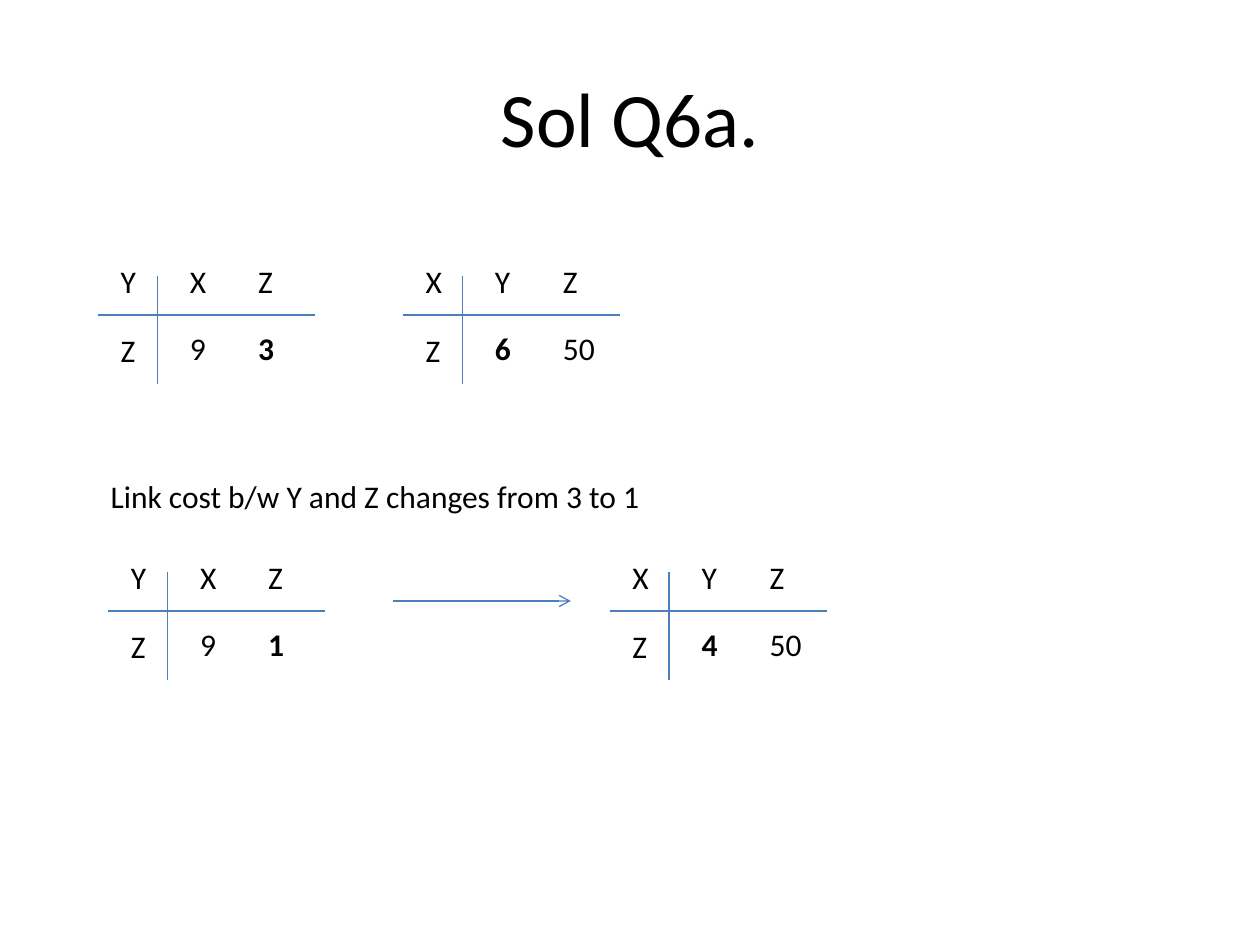
from pptx import Presentation
from pptx.dml.color import RGBColor
from pptx.enum.shapes import MSO_CONNECTOR
from pptx.enum.text import MSO_ANCHOR, MSO_AUTO_SIZE, PP_ALIGN
from pptx.oxml.ns import qn
from pptx.util import Inches, Pt
from lxml import etree

COLORS = {"text": "000000", "line": "4B7EBC"}
FONT = "Calibri"

# Content
TITLE = "Sol Q6a."
NOTE = "Link cost b/w Y and Z changes from 3 to 1"
# Each routing table: left, top, header row, cost row, column of the best cost
ROUTING_TABLES = [
    (0.78, 2.03, ["Y", "X", "Z"], ["Z", "9", "3"], 2),
    (3.20, 2.03, ["X", "Y", "Z"], ["Z", "6", "50"], 1),
    (0.86, 4.38, ["Y", "X", "Z"], ["Z", "9", "1"], 2),
    (4.84, 4.38, ["X", "Y", "Z"], ["Z", "4", "50"], 1),
]

# Routing table geometry, relative to its left and top
COLUMNS = [(0.08, 0.23), (0.63, 0.47), (1.17, 0.47)]  # offset, width
ROW_H = 0.4
COST_Y, DEST_Y = 0.53, 0.55
RULE_W, RULE_Y = 1.72, 0.47
BAR_X, BAR_TOP, BAR_BOTTOM = 0.47, 0.16, 1.02


def add_run(p, text, size, bold=None):
    r = p.add_run()
    r.text = text
    r.font.name = FONT
    r.font.size = Pt(size)
    r.font.bold = bold
    r.font.color.rgb = RGBColor.from_string(COLORS["text"])


def add_label(shapes, text, x, y, w, bold=None):
    tf = shapes.add_textbox(Inches(x), Inches(y), Inches(w), Inches(ROW_H)).text_frame
    tf.word_wrap = True
    tf.auto_size = MSO_AUTO_SIZE.SHAPE_TO_FIT_TEXT
    add_run(tf.paragraphs[0], text, 18, bold)


def add_line(shapes, x1, y1, x2, y2, arrow=False):
    line = shapes.add_connector(
        MSO_CONNECTOR.STRAIGHT, Inches(x1), Inches(y1), Inches(x2), Inches(y2))
    line.line.color.rgb = RGBColor.from_string(COLORS["line"])
    line.line.width = Pt(0.75)
    if arrow:
        etree.SubElement(line.line._get_or_add_ln(), qn("a:tailEnd"), type="arrow")
    etree.SubElement(line._element.spPr, qn("a:effectLst"))


def add_routing_table(slide, x, y, header, costs, best):
    shapes = slide.shapes.add_group_shape().shapes
    add_line(shapes, x, y + RULE_Y, x + RULE_W, y + RULE_Y)
    add_line(shapes, x + BAR_X, y + BAR_TOP, x + BAR_X, y + BAR_BOTTOM)
    for i, (dx, w) in enumerate(COLUMNS):
        add_label(shapes, header[i], x + dx, y, w)
        row_y = y + (COST_Y if i else DEST_Y)
        add_label(shapes, costs[i], x + dx, row_y, w, bold=True if i == best else None)


def main():
    prs = Presentation()
    prs.slide_width, prs.slide_height = Inches(10), Inches(7.5)
    slide = prs.slides.add_slide(prs.slide_layouts[5])

    # Title
    title = slide.shapes.title
    title.left, title.top = Inches(0.5), Inches(0.3)
    title.width, title.height = Inches(9), Inches(1.25)
    tf = title.text_frame
    tf.vertical_anchor = MSO_ANCHOR.MIDDLE
    tf.paragraphs[0].alignment = PP_ALIGN.CENTER
    add_run(tf.paragraphs[0], TITLE, 44)

    # Routing tables before and after the change
    for table in ROUTING_TABLES:
        add_routing_table(slide, *table)

    # Note and update arrow
    add_label(slide.shapes, NOTE, 0.78, 3.74, 4.77)
    add_line(slide.shapes, 3.12, 4.77, 4.53, 4.77, arrow=True)

    prs.save("out.pptx")


if __name__ == "__main__":
    main()
